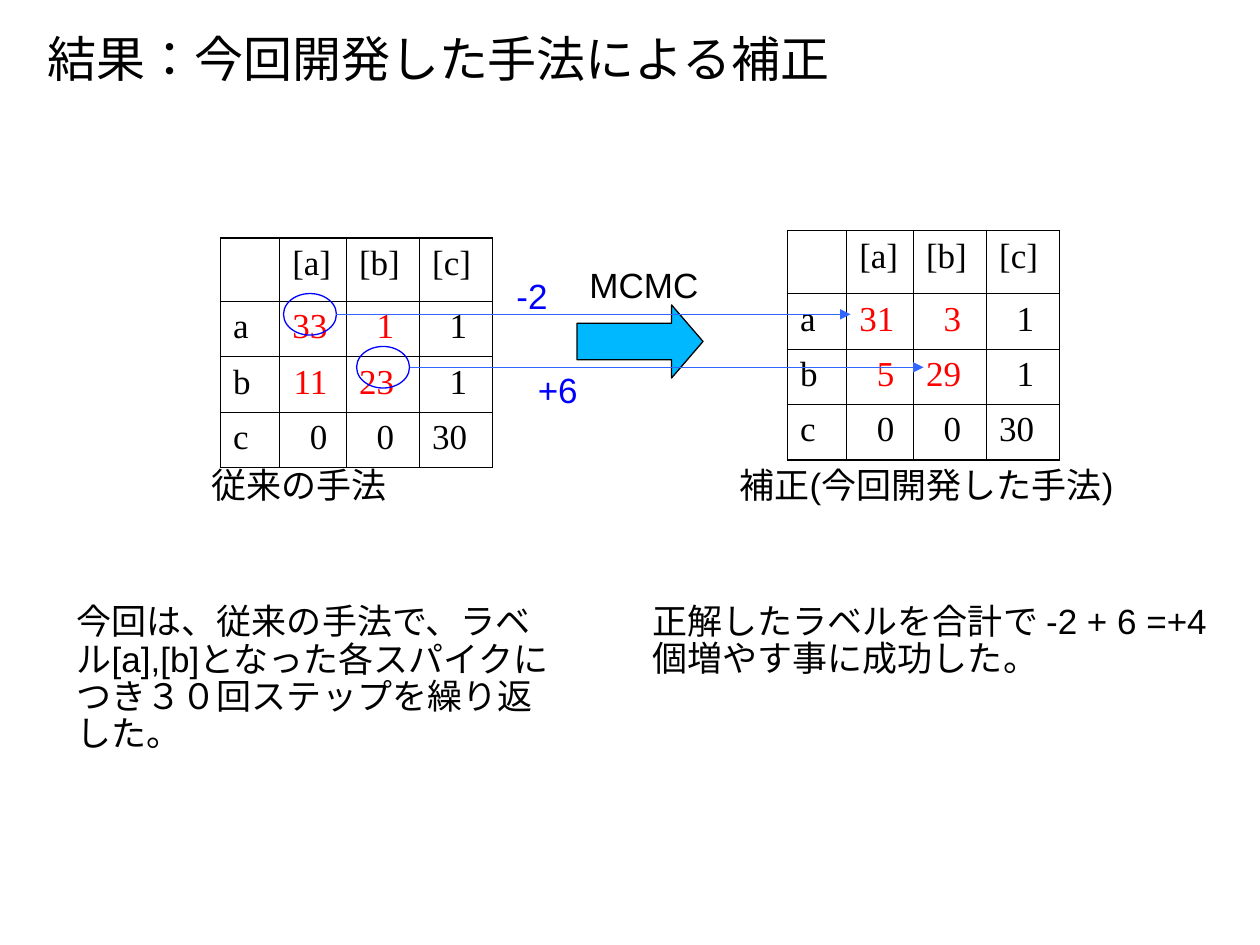
import lxml.etree
import pptx
import pptx.dml.color
import pptx.enum.lang
import pptx.enum.shapes
import pptx.enum.text
import pptx.oxml.ns
import pptx.util

Inches = pptx.util.Inches
Pt = pptx.util.Pt
RGBColor = pptx.dml.color.RGBColor
Kind = pptx.enum.shapes.MSO_SHAPE
Align = pptx.enum.text.PP_ALIGN
Fit = pptx.enum.text.MSO_AUTO_SIZE
Lang = pptx.enum.lang.MSO_LANGUAGE_ID
qn = pptx.oxml.ns.qn

BLACK = RGBColor(0x00, 0x00, 0x00)
RED = RGBColor(0xFF, 0x00, 0x00)
BLUE = RGBColor(0x00, 0x00, 0xFF)
SKY = RGBColor(0x00, 0xB8, 0xFF)
LINK = RGBColor(0x33, 0x66, 0xFF)

COLS = (0.47, 0.53, 0.58, 0.58)
ROWS = (0.5, 0.44, 0.44, 0.44)
HEAD = ("", "[a]", "[b]", "[c]")
OLD = (HEAD, ("a", "33", "1", "1"), ("b", "11", "23", "1"), ("c", "0", "0", "30"))
NEW = (HEAD, ("a", "31", "3", "1"), ("b", "5", "29", "1"), ("c", "0", "0", "30"))


def apply(item, props):
    """Set each named value on the item."""
    for name, value in props.items():
        setattr(item, name, value)


def write(para, text, face, size, color):
    """Add a run of Japanese text to the paragraph."""
    run = para.add_run()
    run.text = text
    apply(run.font, {"name": face, "size": Pt(size), "language_id": Lang.JAPANESE})
    run.font.color.rgb = color


def label(slide, box, text, size=20, color=BLACK, before=0):
    """Place one paragraph of Arial text in the box."""
    frame = slide.shapes.add_textbox(*map(Inches, box)).text_frame
    apply(frame, {"word_wrap": True, "auto_size": Fit.SHAPE_TO_FIT_TEXT})
    para = frame.paragraphs[0]
    apply(para, {"line_spacing": 0.89, "space_before": Pt(before)})
    write(para, text, "Arial", size, color)


def edge(cell, sides):
    """Draw the cell borders, given the width in points by side."""
    props = cell._tc.get_or_add_tcPr()
    for spot, (side, width) in enumerate(sides.items()):
        line = lxml.etree.Element(qn("a:ln" + side), w=str(Pt(width)))
        fill = lxml.etree.SubElement(line, qn("a:solidFill"))
        lxml.etree.SubElement(fill, qn("a:srgbClr"), val=str(BLACK))
        props.insert(spot, line)


def grid(slide, left, top, data):
    """Place a table of counts with its corner at left and top."""
    size = map(Inches, (left, top, sum(COLS), sum(ROWS)))
    table = slide.shapes.add_table(len(ROWS), len(COLS), *size).table
    apply(table, {"first_row": False, "horz_banding": False})
    for col, width in zip(table.columns, COLS):
        col.width = Inches(width)
    for row, height in zip(table.rows, ROWS):
        row.height = Inches(height)
    last = len(ROWS) - 1
    for r, texts in enumerate(data):
        for c, text in enumerate(texts):
            cell = table.cell(r, c)
            cell.fill.background()
            outer = {"L": c == 0, "R": c == last, "T": r == 0, "B": r == last}
            edge(cell, {side: 1.08 if rim else 0.45 for side, rim in outer.items()})
            para = cell.text_frame.paragraphs[0]
            para.space_before = Pt(5)
            if text:
                color = RED if r in (1, 2) and c in (1, 2) else BLACK
                write(para, text, "Times New Roman", 20, color)
            if r and c:
                para.alignment = Align.RIGHT
                cell.margin_right = Inches(COLS[c] - 0.1) - Pt(20)


def shape(slide, kind, box, line, fill=None):
    """Place a preset shape with a thin outline."""
    item = slide.shapes.add_shape(kind, *map(Inches, box))
    item.shadow.inherit = False
    if fill is None:
        item.fill.background()
    else:
        item.fill.solid()
        item.fill.fore_color.rgb = fill
    item.line.color.rgb = line
    item.line.width = Pt(0.75)
    return item


def trace(slide, left, top, reach):
    """Ring a count and draw an arrow from it to its new value."""
    wide, high = 0.42, 0.33
    shape(slide, Kind.OVAL, (left, top, wide, high), BLUE)
    start, mid = left + wide, top + high / 2
    ends = map(Inches, (start, mid, start + reach, mid))
    link = slide.shapes.add_connector(pptx.enum.shapes.MSO_CONNECTOR.STRAIGHT, *ends)
    link.line.color.rgb = LINK
    link.line.width = Pt(0.75)
    lxml.etree.SubElement(link.line._get_or_add_ln(), qn("a:tailEnd"), type="triangle")
    lxml.etree.SubElement(link._element.spPr, qn("a:effectLst"))


def compare(slide, left, top):
    """Place both tables, their captions and the step between them."""
    arrow = shape(slide, Kind.RIGHT_ARROW, (left + 2.83, top + 0.59, 1, 0.58), BLACK, SKY)
    arrow.adjustments[1] = 0.43
    grid(slide, left, top + 0.06, OLD)
    grid(slide, left + 4.5, top, NEW)
    label(slide, (left - 0.17, top + 1.84, 2.5, 0.4), "従来の手法")
    label(slide, (left + 4.02, top + 1.84, 3.5, 0.4), "補正(今回開発した手法)")
    label(slide, (left + 2.83, top + 0.25, 1.2, 0.4), "MCMC")
    label(slide, (left + 2.25, top + 0.34, 0.5, 0.4), "-2", color=BLUE)
    label(slide, (left + 2.42, top + 1.09, 0.6, 0.4), "+6", color=BLUE)
    for step in range(2):
        trace(slide, left + 0.5 + 0.58 * step, top + 0.5 + 0.42 * step, 4.08)


def notes(slide, left, top):
    """Place the two remarks side by side."""
    method = "今回は、従来の手法で、ラベル[a],[b]となった各スパイクにつき３０回ステップを繰り返した。"
    gain = "正解したラベルを合計で -2 + 6 =+4個増やす事に成功した。"
    label(slide, (left, top, 3.99, 1.29), method, before=12.5)
    label(slide, (left + 4.57, top, 4.75, 1.64), gain, before=12.5)


def main():
    """Build the slide and save it."""
    deck = pptx.Presentation()
    apply(deck, {"slide_width": Inches(10), "slide_height": Inches(7.5)})
    slide = deck.slides.add_slide(deck.slide_layouts[6])
    label(slide, (0.28, 0.23, 6.6, 0.52), "結果：今回開発した手法による補正", size=28)
    compare(slide, 1.75, 1.83)
    notes(slide, 0.51, 4.75)
    deck.save("out.pptx")


if __name__ == "__main__":
    main()
